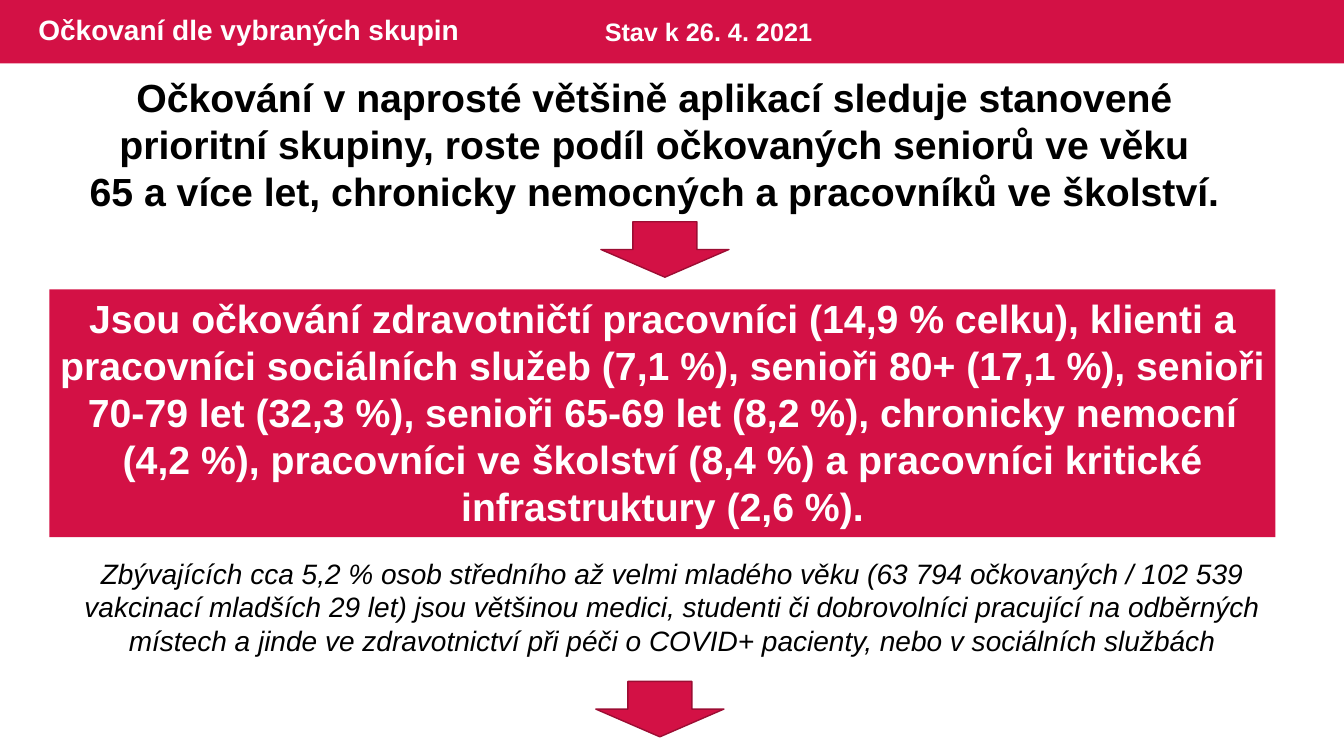
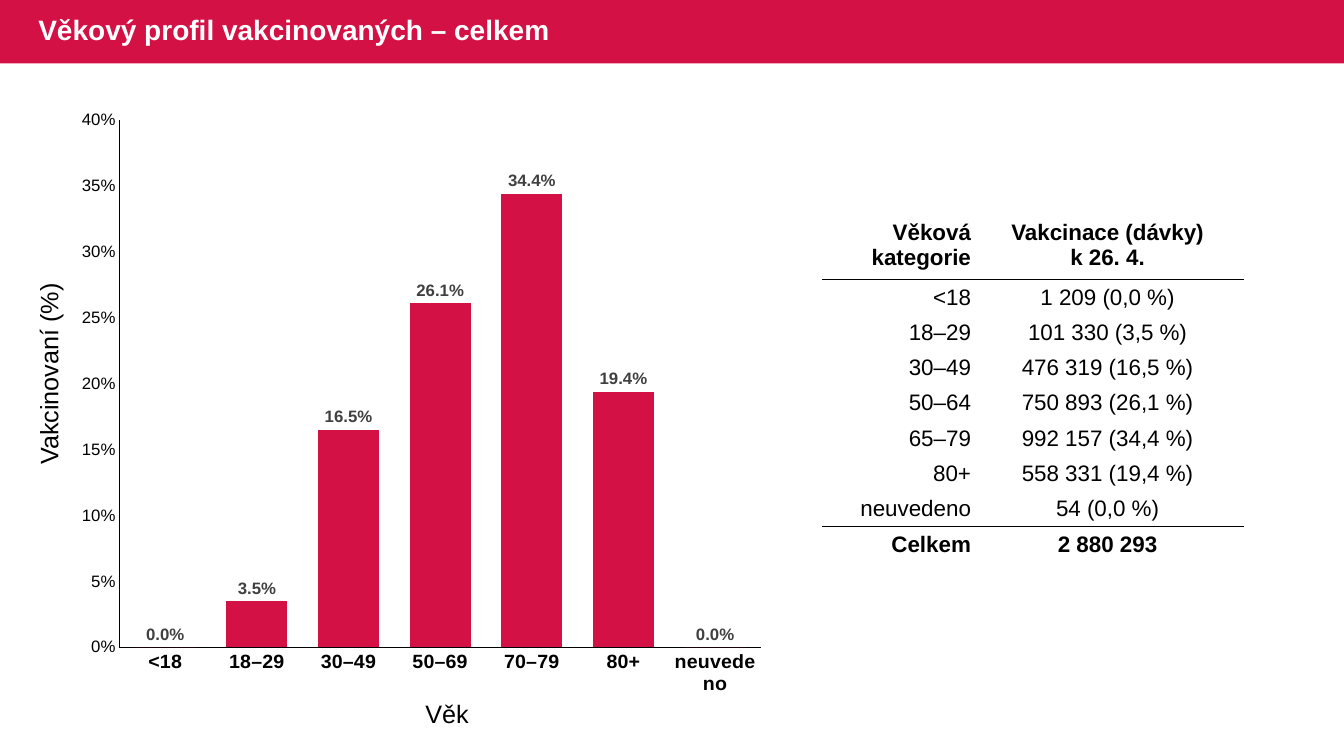
from lxml.etree import SubElement
from pptx import Presentation
from pptx.chart.data import CategoryChartData
from pptx.dml.color import RGBColor
from pptx.enum.chart import XL_CHART_TYPE, XL_LABEL_POSITION, XL_TICK_MARK
from pptx.enum.shapes import MSO_SHAPE
from pptx.enum.text import MSO_ANCHOR, PP_ALIGN
from pptx.oxml import parse_xml
from pptx.oxml.ns import nsdecls, qn
from pptx.util import Inches, Pt

COLORS = {
    "red": "D31145",
    "dark_red": "9C0D33",
    "black": "000000",
    "gray": "404040",
    "white": "FFFFFF",
}
FONT = "Arial"
TITLE_ONLY = 5
LEFT, CENTER, RIGHT = PP_ALIGN.LEFT, PP_ALIGN.CENTER, PP_ALIGN.RIGHT


def rgb(color):
    return RGBColor.from_string(COLORS[color])


def format_font(font, size, color="black", bold=False, italic=False):
    font.name = FONT
    font.size = Pt(size)
    font.bold = bold
    font.italic = italic
    font.color.rgb = rgb(color)


def write_text(frame, text, align=LEFT, line_spacing=None, **font_format):
    """Fill a text frame, one paragraph for each line of the text."""
    frame.text = text
    for paragraph in frame.paragraphs:
        paragraph.alignment = align
        if line_spacing:
            paragraph.line_spacing = line_spacing
        for run in paragraph.runs:
            format_font(run.font, **font_format)


def set_borders(cell, **edge_colors):
    """Draw all four edges of a cell, white unless a colour is given."""
    properties = cell._tc.get_or_add_tcPr()
    for edge in "LRTB":
        line = SubElement(properties, qn(f"a:ln{edge}"), w=str(Pt(1)))
        fill = SubElement(line, qn("a:solidFill"))
        SubElement(fill, qn("a:srgbClr"), val=COLORS[edge_colors.get(edge, "white")])


class Deck:
    """Holds the shared style and the slide being built."""

    def __init__(self):
        self.presentation = Presentation()
        self.presentation.slide_width = Inches(13.33)
        self.presentation.slide_height = Inches(7.5)
        self.slide = None

    def new_slide(self, title):
        layout = self.presentation.slide_layouts[TITLE_ONLY]
        self.slide = self.presentation.slides.add_slide(layout)

        # Header band, placed behind the title
        band = self.shape(MSO_SHAPE.RECTANGLE, 0, 0, 13.33, 0.63)
        self.slide.shapes._spTree.insert(2, band._element)

        placeholder = self.slide.shapes.title
        placeholder.left, placeholder.top = Inches(0.28), Inches(0)
        placeholder.width, placeholder.height = Inches(8.13), Inches(0.63)
        placeholder.text_frame.vertical_anchor = MSO_ANCHOR.MIDDLE
        write_text(placeholder.text_frame, title, line_spacing=0.9,
                   size=20, color="white", bold=True)

    def shape(self, kind, left, top, width, height, line=None):
        shape = self.slide.shapes.add_shape(
            kind, Inches(left), Inches(top), Inches(width), Inches(height))
        shape.shadow.inherit = False
        shape.fill.solid()
        shape.fill.fore_color.rgb = rgb("red")
        if line:
            shape.line.color.rgb = rgb(line)
            shape.line.width = Pt(1)
        else:
            shape.line.fill.background()
        return shape

    def down_arrow(self, left, top):
        self.shape(MSO_SHAPE.DOWN_ARROW, left, top, 1.27, 0.55, line="dark_red")

    def panel(self, text, left, top, width, height, **text_format):
        frame = self.shape(MSO_SHAPE.RECTANGLE, left, top, width, height).text_frame
        frame.word_wrap = True
        frame.vertical_anchor = MSO_ANCHOR.TOP
        write_text(frame, text, **text_format)

    def text(self, text, left, top, width, height, wrap=True, rotation=0, **text_format):
        box = self.slide.shapes.add_textbox(
            Inches(left), Inches(top), Inches(width), Inches(height))
        box.rotation = rotation
        box.text_frame.word_wrap = wrap
        write_text(box.text_frame, text, **text_format)

    def column_chart(self, categories, values, left, top, width, height):
        data = CategoryChartData()
        data.categories = categories
        data.add_series("Vakcinovaní", values)
        chart = self.slide.shapes.add_chart(
            XL_CHART_TYPE.COLUMN_CLUSTERED, Inches(left), Inches(top),
            Inches(width), Inches(height), data).chart
        chart.has_legend = False
        chart.has_title = False
        format_font(chart.font, 10)

        # Columns and their labels
        plot = chart.plots[0]
        plot.gap_width, plot.overlap = 50, -27
        plot.vary_by_categories = False
        series = plot.series[0]
        series.format.fill.solid()
        series.format.fill.fore_color.rgb = rgb("red")
        labels = series.data_labels
        labels.show_value = True
        labels.position = XL_LABEL_POSITION.OUTSIDE_END
        labels.number_format, labels.number_format_is_linked = "0.0%", False
        format_font(labels.font, 12, "gray", bold=True)

        # Axes
        category_axis, value_axis = chart.category_axis, chart.value_axis
        for axis, size, bold in ((category_axis, 14, True), (value_axis, 12, False)):
            axis.has_major_gridlines = False
            axis.major_tick_mark = axis.minor_tick_mark = XL_TICK_MARK.NONE
            axis.format.line.color.rgb = rgb("black")
            axis.format.line.width = Pt(0.75)
            format_font(axis.tick_labels.font, size, bold=bold)
        category_axis._element.txPr.find(qn("a:bodyPr")).set("rot", "0")
        value_axis.minimum_scale, value_axis.maximum_scale = 0, 0.4
        value_axis.major_unit = 0.05
        value_axis.tick_labels.number_format = "0%"
        value_axis.tick_labels.number_format_is_linked = False

        # Fixed plot area inside the chart frame
        plot_area = chart._chartSpace.chart.plotArea
        for layout in plot_area.findall(qn("c:layout")):
            plot_area.remove(layout)
        plot_area.insert(0, parse_xml(
            f'<c:layout {nsdecls("c")}><c:manualLayout><c:layoutTarget val="inner"/>'
            '<c:xMode val="edge"/><c:yMode val="edge"/><c:x val="0.07"/>'
            '<c:y val="0.04"/><c:w val="0.9"/><c:h val="0.9"/>'
            '</c:manualLayout></c:layout>'))

    def table(self, rows, left, top, widths, heights, ruled_after):
        """Add a table with a black rule under each row in ruled_after."""
        table = self.slide.shapes.add_table(
            len(rows), len(widths), Inches(left), Inches(top),
            Inches(sum(widths)), Inches(sum(heights))).table
        table.first_row = table.horz_banding = False
        for column, width in zip(table.columns, widths):
            column.width = Inches(width)
        for row_index, row in enumerate(rows):
            table.rows[row_index].height = Inches(heights[row_index])
            top_color = "black" if row_index - 1 in ruled_after else "white"
            bottom_color = "black" if row_index in ruled_after else "white"
            for column_index, text in enumerate(row):
                cell = table.cell(row_index, column_index)
                set_borders(cell, T=top_color, B=bottom_color)
                cell.fill.background()
                cell.vertical_anchor = MSO_ANCHOR.MIDDLE
                cell.margin_left = cell.margin_right = cell.margin_top = Inches(0.01)
                cell.margin_bottom = 0
                write_text(cell.text_frame, text, size=16,
                           align=CENTER if column_index else RIGHT,
                           bold=row_index in (0, len(rows) - 1))


def build_groups_slide(deck):
    deck.new_slide("Očkovaní dle vybraných skupin")
    deck.text("Stav k 26. 4. 2021", 5.9, 0.11, 2.96, 0.4,
              size=18, color="white", bold=True)
    deck.text("Očkování v naprosté většině aplikací sleduje stanovené prioritní "
              "skupiny, roste podíl očkovaných seniorů ve věku\n"
              "65 a více let, chronicky nemocných a pracovníků ve školství.",
              0.7, 0.68, 11.58, 1.51, align=CENTER, size=28, bold=True)
    deck.down_arrow(5.96, 2.2)
    deck.panel("Jsou očkování zdravotničtí pracovníci (14,9 % celku), klienti a "
               "pracovníci sociálních služeb (7,1 %), senioři 80+ (17,1 %), senioři "
               "70-79 let (32,3 %), senioři 65-69 let (8,2 %), chronicky nemocní "
               "(4,2 %), pracovníci ve školství (8,4 %) a pracovníci kritické "
               "infrastruktury (2,6 %).",
               0.49, 2.87, 12.16, 2.46, align=CENTER, size=28, color="white", bold=True)
    deck.text("Zbývajících cca 5,2 % osob středního až velmi mladého věku (63 794 "
              "očkovaných / 102 539 vakcinací mladších 29 let) jsou většinou medici, "
              "studenti či dobrovolníci pracující na odběrných místech a jinde ve "
              "zdravotnictví při péči o COVID+ pacienty, nebo v sociálních službách",
              0.49, 5.47, 12.36, 1.11, align=CENTER, size=20, italic=True)
    deck.down_arrow(5.91, 6.76)


def build_age_slide(deck):
    deck.new_slide("Věkový profil vakcinovaných – celkem")

    # Chart with its axis captions
    deck.column_chart(
        ["<18", "18–29", "30–49", "50–69", "70–79", "80+", "neuvedeno"],
        [0, 0.035, 0.165, 0.261, 0.344, 0.194, 0], 0.69, 0.96, 7.07, 5.93)
    deck.text("Věk", 4.12, 6.88, 0.64, 0.4, wrap=False, size=18)
    deck.text("Vakcinovaní (%)", -0.53, 3.5, 2.02, 0.4, wrap=False, rotation=270, size=18)

    # Doses by age group
    rows = [
        ("Věková kategorie", "Vakcinace (dávky)\nk 26. 4."),
        ("<18", "1 209 (0,0 %)"),
        ("18–29", "101 330 (3,5 %)"),
        ("30–49", "476 319 (16,5 %)"),
        ("50–64", "750 893 (26,1 %)"),
        ("65–79", "992 157 (34,4 %)"),
        ("80+", "558 331 (19,4 %)"),
        ("neuvedeno", "54 (0,0 %)"),
        ("Celkem", "2 880 293"),
    ]
    heights = [0.68] + [0.35] * (len(rows) - 1)
    deck.table(rows, 8.16, 2.09, [1.48, 2.69], heights,
               ruled_after=(0, len(rows) - 2))


def main():
    deck = Deck()
    build_groups_slide(deck)
    build_age_slide(deck)
    deck.presentation.save("out.pptx")


if __name__ == "__main__":
    main()
